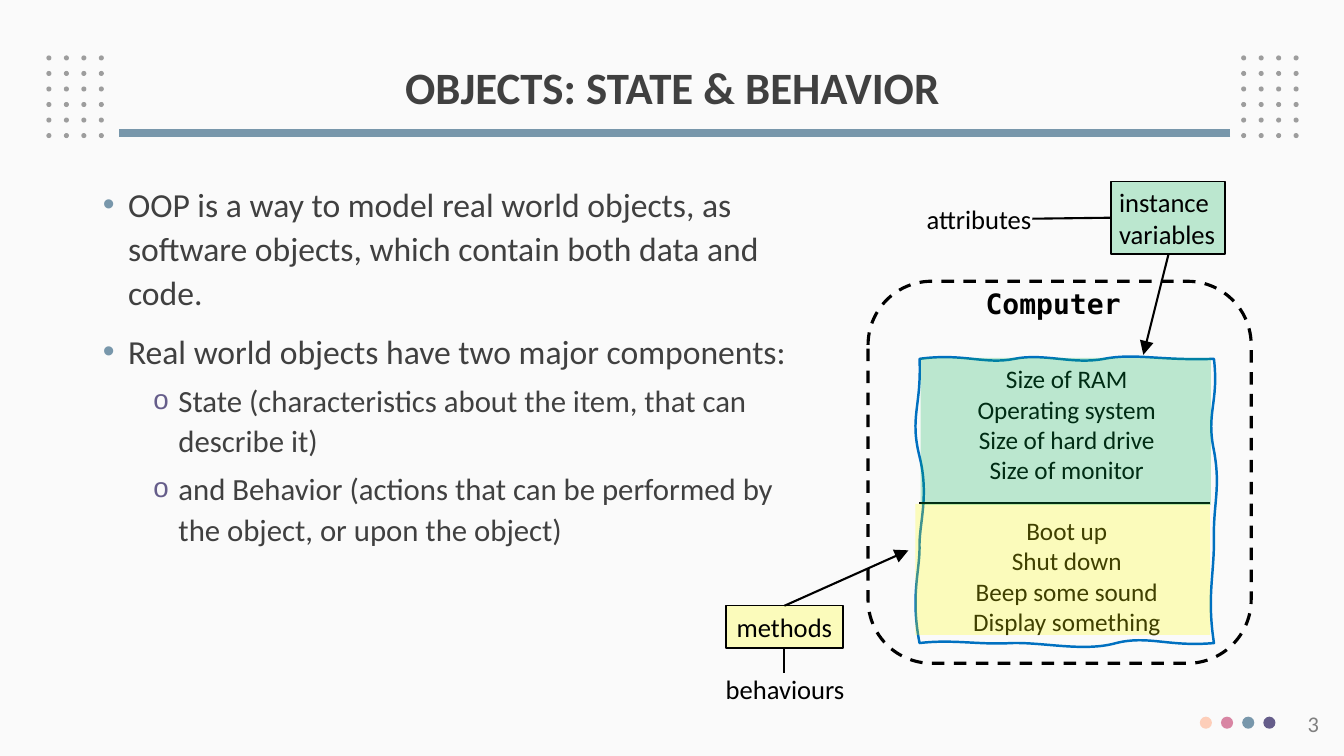
from dataclasses import dataclass
from itertools import product
from typing import NamedTuple, Optional

from lxml.etree import SubElement
from pptx import Presentation
from pptx.dml.color import RGBColor
from pptx.enum.dml import MSO_LINE
from pptx.enum.shapes import MSO_CONNECTOR, MSO_SHAPE
from pptx.enum.text import MSO_ANCHOR, MSO_AUTO_SIZE, PP_ALIGN
from pptx.oxml.ns import qn
from pptx.util import Inches, Pt

BLACK = RGBColor(0x00, 0x00, 0x00)
DARK = RGBColor(0x40, 0x40, 0x40)
GRAY = RGBColor(0x80, 0x80, 0x80)
DOT_GRAY = RGBColor(0x9D, 0x9D, 0x9D)
PAPER = RGBColor(0xFA, 0xFA, 0xFA)
PEACH = RGBColor(0xFD, 0xCE, 0xB9)
PINK = RGBColor(0xD8, 0x85, 0xA3)
STEEL = RGBColor(0x78, 0x97, 0xAB)
PURPLE = RGBColor(0x65, 0x5D, 0x8A)
BLUE = RGBColor(0x00, 0x70, 0xC0)
GREEN = RGBColor(0x00, 0xB0, 0x50)
YELLOW = RGBColor(0xFF, 0xFF, 0x00)


class Area(NamedTuple):
    left: float
    top: float
    width: float
    height: float

    def lengths(self):
        return [Inches(value) for value in self]


@dataclass
class Style:
    size: float
    color: RGBColor = BLACK
    font: str = "Calibri"
    bold: bool = False
    align: PP_ALIGN = PP_ALIGN.CENTER


@dataclass
class Bullet:
    text: str
    level: int = 0
    before: float = 0


@dataclass
class Line:
    start: tuple
    end: tuple
    width: float = 1.5
    color: RGBColor = BLACK
    arrow: bool = False


@dataclass
class Label:
    area: Area
    text: str
    style: Style
    tint: Optional[RGBColor] = None


BULLETS = [
    Bullet("OOP is a way to model real world objects, as software objects, "
           "which contain both data and code."),
    Bullet("Real world objects have two major components:", before=10),
    Bullet("State (characteristics about the item, that can describe it)", 1, 5),
    Bullet("and Behavior (actions that can be performed by the object, "
           "or upon the object)", 1, 5),
]
STATE = ["Size of RAM", "Operating system", "Size of hard drive", "Size of monitor"]
BEHAVIOR = ["Boot up", "Shut down", "Beep some sound", "Display something"]

# Wavy frame: each curve is two control points and an end point
FRAME_START = (9.12, 3.56)
FRAME_CURVES = [
    ((9.55, 3.5), (9.77, 3.62), (10.06, 3.56)),
    ((10.36, 3.5), (10.64, 3.62), (10.95, 3.56)),
    ((11.26, 3.5), (11.51, 3.58), (12.04, 3.56)),
    ((12.09, 4), (11.96, 4.09), (12.04, 4.47)),
    ((12.11, 4.85), (12.03, 5), (12.04, 5.36)),
    ((12.04, 5.72), (11.97, 5.92), (12.04, 6.38)),
    ((11.59, 6.42), (11.39, 6.3), (11.07, 6.38)),
    ((10.75, 6.47), (10.35, 6.37), (10.03, 6.38)),
    ((9.72, 6.4), (9.45, 6.34), (9.12, 6.38)),
    ((9.03, 5.92), (9.12, 5.67), (9.12, 5.44)),
    ((9.11, 5.21), (9.22, 4.93), (9.12, 4.53)),
    ((9.02, 4.13), (9.14, 4.04), (9.12, 3.56)),
]

LABEL = Style(19)
LABELS = [
    Label(Area(8.85, 2.79, 3.19, 0.51), "Computer",
          Style(20, font="DejaVu Sans Mono", bold=True)),
    Label(Area(7.2, 6.01, 1.16, 0.42), "methods", LABEL, YELLOW),
    Label(Area(7.04, 6.63, 1.49, 0.42), "behaviours", LABEL),
    Label(Area(11.02, 1.8, 1.13, 0.72), "instance\nvariables",
          Style(19, align=PP_ALIGN.LEFT), GREEN),
    Label(Area(9.06, 1.96, 1.3, 0.42), "attributes", LABEL),
]
LINES = [
    Line((12.2, 1.32), (1.18, 1.32), 5.25, STEEL),
    Line((9.12, 4.99), (12, 4.99), 2),
    Line((7.78, 6.01), (9.01, 5.46), arrow=True),
    Line((7.78, 6.43), (7.78, 6.68)),
    Line((11.59, 2.52), (11.34, 3.52), arrow=True),
    Line((11.02, 2.16), (10.24, 2.17)),
]


def write(frame, text: str, style: Style) -> None:
    frame.text = text
    for para in frame.paragraphs:
        para.alignment = style.align
        for span in para.runs:
            span.font.name, span.font.size = style.font, Pt(style.size)
            span.font.bold, span.font.color.rgb = style.bold, style.color


def add_block(page, kind: MSO_SHAPE, area: Area, fill: Optional[RGBColor],
              alpha: int = 100):
    block = page.shapes.add_shape(kind, *area.lengths())
    block.shadow.inherit = False
    block.line.fill.background()
    if fill is None:
        block.fill.background()
    else:
        block.fill.solid()
        block.fill.fore_color.rgb = fill
        if alpha < 100:
            color = next(block._element.spPr.iter(qn("a:srgbClr")))
            SubElement(color, qn("a:alpha"), val=str(alpha * 1000))
    return block


def outline(shape, color: RGBColor, width: float) -> None:
    shape.line.color.rgb = color
    shape.line.width = Pt(width)


def add_line(page, line: Line) -> None:
    ends = [Inches(value) for value in (*line.start, *line.end)]
    connector = page.shapes.add_connector(MSO_CONNECTOR.STRAIGHT, *ends)
    outline(connector, line.color, line.width)
    properties = connector._element.spPr
    if line.arrow:
        SubElement(properties.find(qn("a:ln")), qn("a:tailEnd"),
                   type="triangle", w="lg", len="lg")
    SubElement(properties, qn("a:effectLst"))


def add_label(page, label: Label) -> None:
    if label.tint is None:
        box = page.shapes.add_textbox(*label.area.lengths())
    else:
        box = add_block(page, MSO_SHAPE.RECTANGLE, label.area, label.tint, 25)
        outline(box, BLACK, 1)
    frame = box.text_frame
    frame.word_wrap = label.tint is None
    frame.margin_left = frame.margin_right = Inches(0.08)
    write(frame, label.text, label.style)


def add_bullet(para, bullet: Bullet) -> None:
    para.text, para.level = bullet.text, bullet.level
    color, size, sign = [(STEEL, 24, "•"), (PURPLE, 22, "o")][bullet.level]
    properties = para._p.get_or_add_pPr()
    properties.set("marL", str(Inches([0.25, 0.75][bullet.level])))
    properties.set("indent", str(Inches(-0.25)))
    SubElement(SubElement(properties, qn("a:buClr")), qn("a:srgbClr"), val=str(color))
    if bullet.level:
        SubElement(properties, qn("a:buSzPct"), val="90000")
    SubElement(properties, qn("a:buChar"), char=sign)
    para.line_spacing, para.space_before = 1.1, Pt(bullet.before)
    for span in para.runs:
        span.font.name, span.font.size = "Calibri", Pt(size)
        span.font.color.rgb = DARK


def add_wavy_frame(page) -> None:
    left, top = FRAME_START
    builder = page.shapes.build_freeform(Inches(left), Inches(top))
    builder.add_line_segments([(Inches(x), Inches(y)) for *_, (x, y) in FRAME_CURVES])
    wave = builder.convert_to_shape()
    # Bend each straight segment into its curve
    segments = list(wave._element.iter(qn("a:lnTo")))
    for segment, curve in zip(segments, FRAME_CURVES):
        segment.addprevious(bend := segment.makeelement(qn("a:cubicBezTo")))
        for x, y in curve:
            SubElement(bend, qn("a:pt"), x=str(Inches(x) - Inches(left)),
                       y=str(Inches(y) - Inches(top)))
        segment.getparent().remove(segment)
    wave.shadow.inherit = False
    wave.fill.background()
    outline(wave, BLUE, 1.75)
    frame = wave.text_frame
    frame.vertical_anchor, frame.word_wrap = MSO_ANCHOR.TOP, True
    write(frame, "\n".join(STATE + BEHAVIOR), Style(18))
    frame.paragraphs[len(STATE)].space_before = Pt(22)


def place(holder, area: Area) -> None:
    holder.left, holder.top, holder.width, holder.height = area.lengths()
    holder.text_frame.auto_size = MSO_AUTO_SIZE.NONE


def main() -> None:
    deck = Presentation()
    deck.slide_width, deck.slide_height = Inches(13.33), Inches(7.5)
    page = deck.slides.add_slide(deck.slide_layouts[1])
    page.background.fill.solid()
    page.background.fill.fore_color.rgb = PAPER

    # Title and list
    title, body = page.placeholders
    place(title, Area(0.92, 0.4, 11.5, 0.98))
    title.text_frame.vertical_anchor = MSO_ANCHOR.MIDDLE
    write(title.text_frame, "OBJECTS: STATE & BEHAVIOR", Style(32, DARK, bold=True))
    title.text_frame.paragraphs[0].line_spacing = 0.9
    place(body, Area(0.92, 1.73, 7.1, 5.03))
    body.text_frame.text = "\n".join(bullet.text for bullet in BULLETS)
    for para, bullet in zip(body.text_frame.paragraphs, BULLETS):
        add_bullet(para, bullet)

    # Dot grids, colour dots and page number
    for left, row, column in product((0.46, 12.31), range(6), range(4)):
        dot = Area(left + column * 0.52 / 3, 0.55 + row * 0.77 / 5, 0.05, 0.05)
        add_block(page, MSO_SHAPE.OVAL, dot, DOT_GRAY)
    for index, color in enumerate((PEACH, PINK, STEEL, PURPLE)):
        add_block(page, MSO_SHAPE.OVAL, Area(11.9 + index * 0.21, 7.11, 0.12, 0.12), color)
    number = page.shapes.add_textbox(*Area(10.18, 7, 3, 0.4).lengths())
    number.text_frame.word_wrap = True
    write(number.text_frame, "3", Style(16, GRAY, align=PP_ALIGN.RIGHT))

    # Computer diagram
    add_wavy_frame(page)
    shell = add_block(page, MSO_SHAPE.ROUNDED_RECTANGLE, Area(8.61, 2.79, 3.8, 3.79), None)
    outline(shell, BLACK, 2.25)
    shell.line.dash_style = MSO_LINE.DASH
    for line in LINES:
        add_line(page, line)
    add_block(page, MSO_SHAPE.RECTANGLE, Area(9.08, 5, 2.92, 1.3), YELLOW, 25)
    add_block(page, MSO_SHAPE.RECTANGLE, Area(9.13, 3.55, 2.88, 1.46), GREEN, 25)
    for label in LABELS:
        add_label(page, label)

    deck.save("out.pptx")


if __name__ == "__main__":
    main()
